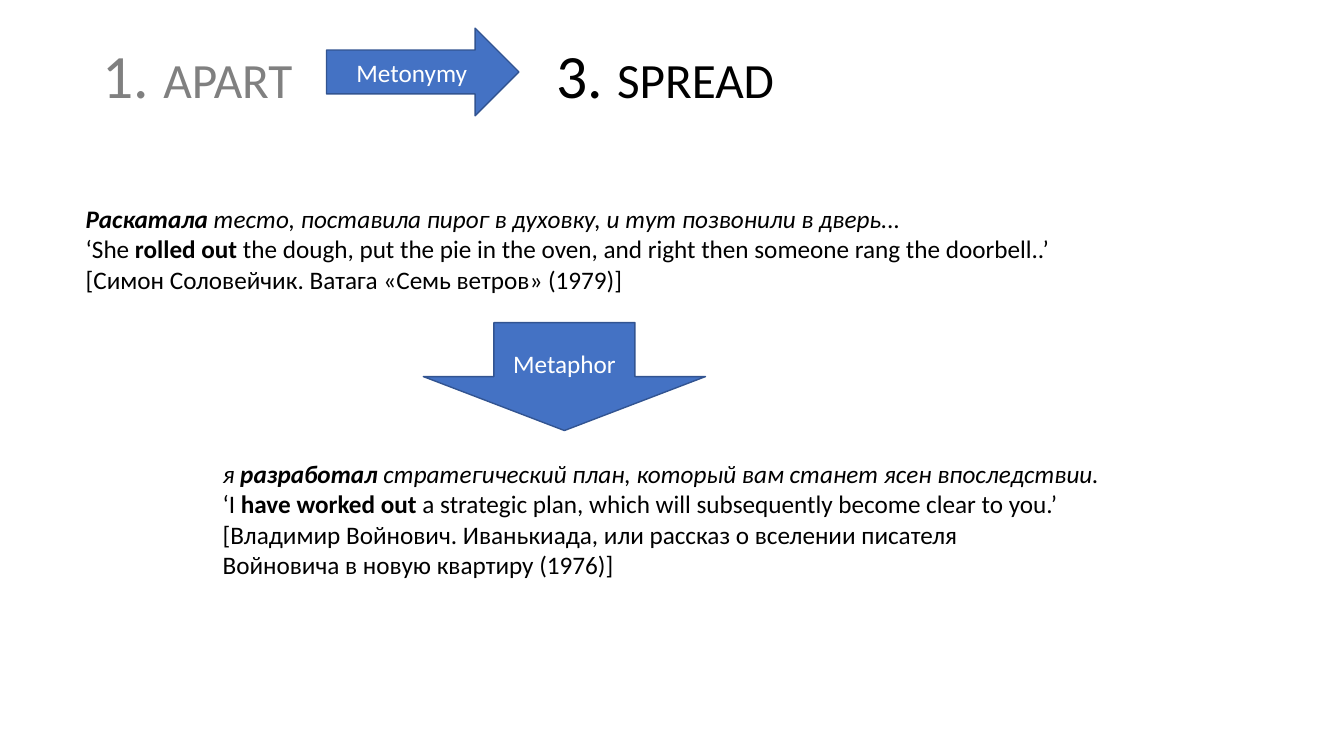
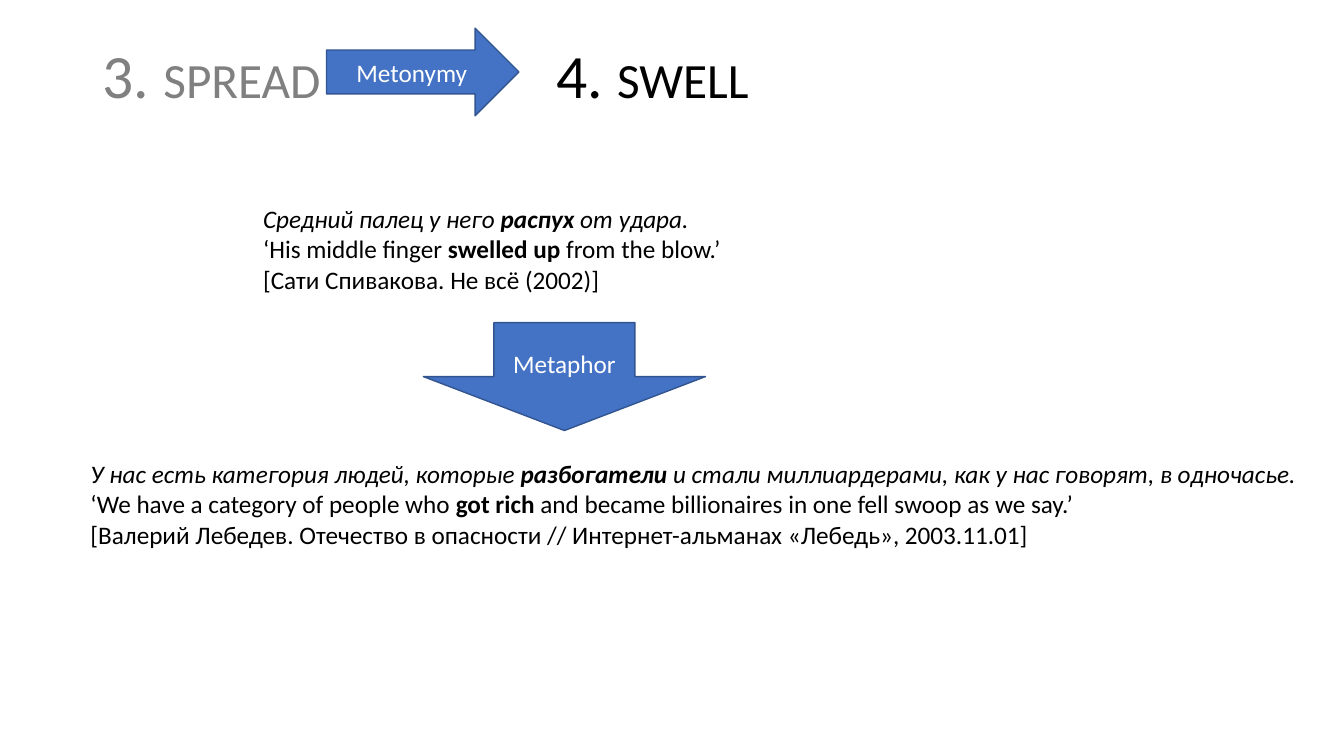
from pptx import Presentation
from pptx.dml.color import RGBColor as Rgb
from pptx.enum.shapes import MSO_SHAPE as Shape
from pptx.enum.text import MSO_ANCHOR as Anchor, MSO_AUTO_SIZE as Fit, PP_ALIGN as Align
from pptx.util import Cm, Pt

FONT = "Calibri"
BLACK, GREY, WHITE = "000000", "808080", "FFFFFF"
BLUE, EDGE = "4472C4", "325491"

SLIDES = [
    {
        "heads": [("1. ", "apart"), ("3. ", "spread")],
        "top": (1.91, 25.12, [
            ("", "Раскатала", " тесто, поставила пирог в духовку, и тут позвонили в дверь..."),
            ("‘She ", "rolled out", " the dough, put the pie in the oven, "
             "and right then someone rang the doorbell..’"),
            ("[Симон Соловейчик. Ватага «Семь ветров» (1979)]",),
        ]),
        "low": (5.36, 22.86, [
            ("я ", "разработал", " стратегический план, который вам станет ясен впоследствии."),
            ("‘I ", "have worked out", " a strategic plan, "
             "which will subsequently become clear to you.’"),
            ("[Владимир Войнович. Иванькиада, или рассказ о вселении писателя",),
            ("Войновича в новую квартиру (1976)]",),
        ]),
    },
    {
        "heads": [("3. ", "spread"), ("4. ", "swell")],
        "top": (6.38, 12.17, [
            ("Средний палец у него ", "распух", " от удара."),
            ("‘His middle finger ", "swelled up", " from the blow.’"),
            ("[Сати Спивакова. Не всё (2002)]",),
        ]),
        "low": (2.03, 31.24, [
            ("У нас есть категория людей, которые ", "разбогатели",
             " и стали миллиардерами, как у нас говорят, в одночасье."),
            ("‘We have a category of people who ", "got rich",
             " and became billionaires in one fell swoop as we say.’"),
            ("[Валерий Лебедев. Отечество в опасности // "
             "Интернет-альманах «Лебедь», 2003.11.01]",),
        ]),
    },
]


def tint(code):
    """Turn a hex string into a colour."""
    return Rgb.from_string(code)


def write(para, text, size=18, color=BLACK, bold=False, italic=False, caps=False):
    """Add one formatted run to a paragraph."""
    run = para.add_run()
    run.text = text
    font = run.font
    font.name, font.size = FONT, Pt(size)
    font.bold, font.italic = bold, italic
    font.color.rgb = tint(color)
    if caps:
        run._r.get_or_add_rPr().set("cap", "small")


def frame(slide, left, top, width, height):
    """Add a wrapping text box and return its text frame."""
    box = slide.shapes.add_textbox(Cm(left), Cm(top), Cm(width), Cm(height))
    box.text_frame.word_wrap = True
    return box.text_frame


def head(slide, left, number, name, color):
    """Add a numbered heading in small capitals."""
    para = frame(slide, left, 1.02, 6.35, 3.68).paragraphs[0]
    para.line_spacing = 0.9
    write(para, number, size=44, color=color)
    write(para, name, size=44, color=color, caps=True)


def quote(slide, top, left, width, lines):
    """Add an example whose first line is italic and key words are bold."""
    body = frame(slide, left, top, width, 0.77 * len(lines) + 0.25)
    body.auto_size = Fit.SHAPE_TO_FIT_TEXT
    for row, parts in enumerate(lines):
        para = body.add_paragraph() if row else body.paragraphs[0]
        for col, text in enumerate(parts):
            if text:
                write(para, text, bold=col == 1, italic=row == 0)


def arrow(slide, kind, label, left, top, width, height):
    """Add a labelled block arrow."""
    shape = slide.shapes.add_shape(kind, Cm(left), Cm(top), Cm(width), Cm(height))
    shape.shadow.inherit = False
    shape.fill.solid()
    shape.fill.fore_color.rgb = tint(BLUE)
    shape.line.color.rgb = tint(EDGE)
    shape.line.width = Pt(1)
    shape.text_frame.vertical_anchor = Anchor.MIDDLE
    para = shape.text_frame.paragraphs[0]
    para.alignment = Align.CENTER
    write(para, label, color=WHITE)


def main():
    """Build and save the slides."""
    deck = Presentation()
    deck.slide_width, deck.slide_height = Cm(33.87), Cm(19.05)
    for data in SLIDES:
        slide = deck.slides.add_slide(deck.slide_layouts[6])
        for left, color, words in zip((2.34, 13.77), (GREY, BLACK), data["heads"]):
            head(slide, left, *words, color)
        arrow(slide, Shape.RIGHT_ARROW, "Metonymy", 8.23, 0.71, 4.85, 2.21)
        quote(slide, 5, *data["top"])
        quote(slide, 11.43, *data["low"])
        arrow(slide, Shape.DOWN_ARROW, "Metaphor", 10.67, 8.13, 7.11, 2.72)
    deck.save("out.pptx")


if __name__ == "__main__":
    main()
